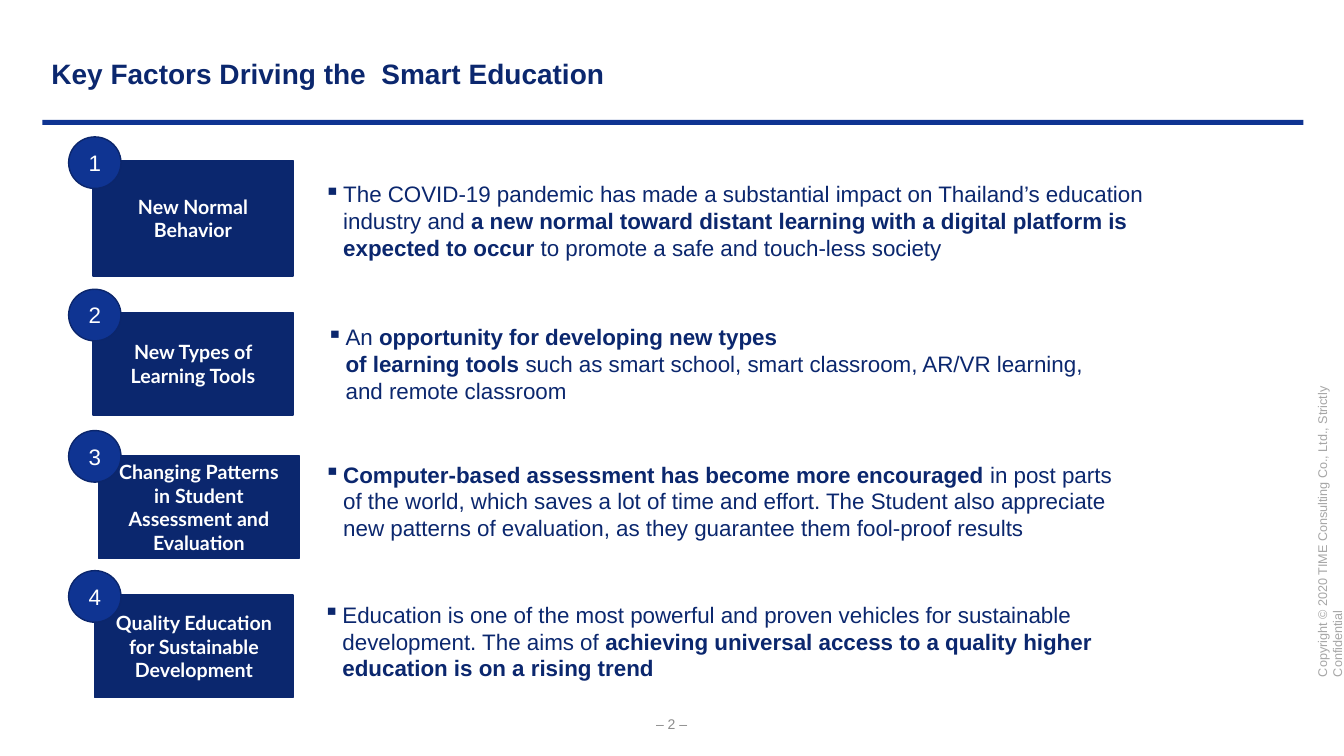
"""Build the slide on key factors driving smart education."""
import pptx
import pptx.util
import pptx.dml.color
import pptx.enum.shapes
import pptx.enum.text
from lxml import etree

Cm, Pt = pptx.util.Cm, pptx.util.Pt
RGB = pptx.dml.color.RGBColor.from_string
SHAPE = pptx.enum.shapes.MSO_SHAPE
ANCHOR = pptx.enum.text.MSO_ANCHOR
ALIGN = pptx.enum.text.PP_ALIGN
COLORS = {"navy": "0B276E", "blue": "0F3492", "edge": "0B266C", "white": "FFFFFF",
          "number": "8C8C8C", "copyright": "A6A6A6"}


def add_block(kind, box, fill, line=None):
    sp = s.shapes.add_shape(kind, *[Cm(v) for v in box])
    sp.shadow.inherit = False
    sp.fill.solid()
    sp.fill.fore_color.rgb = RGB(COLORS[fill])
    if line:
        sp.line.color.rgb = RGB(COLORS[line])
        sp.line.width = Pt(1)
    else:
        sp.line.fill.background()
    return sp


def style_text(sp, size, color, bold=None, align=ALIGN.LEFT, anchor=ANCHOR.MIDDLE, font="Arial"):
    tf = sp.text_frame
    tf.word_wrap = True
    tf.vertical_anchor = anchor
    p = tf.paragraphs[0]
    p.alignment = align
    for r in p.runs:
        r.font.size = Pt(size)
        r.font.name = font
        r.font.color.rgb = RGB(COLORS[color])
        if bold is not None:
            r.font.bold = bold


prs = pptx.Presentation()
prs.slide_width, prs.slide_height = Cm(33.87), Cm(19.05)
s = prs.slides.add_slide(prs.slide_layouts[5])

title = s.shapes.title
title.left, title.top, title.width, title.height = Cm(1.04), Cm(1.3), Cm(20.52), Cm(1.12)
title.text_frame.text = "Key Factors Driving the  Smart Education"
style_text(title, 20, "navy", bold=True, anchor=ANCHOR.TOP)

add_block(SHAPE.RECTANGLE, (1.07, 3.02, 31.78, 0.13), "blue")

number = s.shapes.add_textbox(Cm(15.67), Cm(17.98), Cm(2.51), Cm(0.53))
number.text_frame.text = "– 2 –"
style_text(number, 10, "number", align=ALIGN.CENTER)

notice = s.shapes.add_textbox(Cm(28.85), Cm(12.52), Cm(8.94), Cm(0.64))
notice.rotation = 270
notice.text_frame.text = "Copyright © 2020 TIME Consulting Co., Ltd., Strictly Confidential"
style_text(notice, 9, "copyright", anchor=ANCHOR.TOP)

# Asterisks enclose the bold parts of a description.
factors = [
    ("New Normal Behavior", (2.34, 4.04, 5.05, 2.92), (7.92, 4.42, 21.77, 2.92), 3.45, ANCHOR.TOP,
     "The COVID-19 pandemic has made a substantial impact on Thailand’s education industry and "
     "*a new normal toward distant learning with a digital platform is expected to occur *"
     "to promote a safe and touch-less society"),
    ("New Types of Learning Tools", (2.34, 7.87, 5.05, 2.59), (7.98, 7.87, 20.5, 2.59), 7.29, ANCHOR.MIDDLE,
     "An *opportunity for developing new types\nof learning tools* such as smart school, "
     "smart classroom, AR/VR learning, and remote classroom"),
    ("Changing Patterns in Student Assessment and Evaluation",
     (2.49, 11.48, 5.05, 2.59), (7.92, 11.33, 20.5, 2.59), 10.85, ANCHOR.MIDDLE,
     "*Computer-based assessment has become more encouraged *in post parts of the world, "
     "which saves a lot of time and effort. The Student also appreciate new patterns of "
     "evaluation, as they guarantee them fool-proof results"),
    ("Quality Education for Sustainable Development",
     (2.39, 14.99, 5, 2.59), (7.9, 14.86, 20.24, 2.59), 14.38, ANCHOR.MIDDLE,
     "Education is one of the most powerful and proven vehicles for sustainable development. "
     "The aims of *achieving universal access to a quality higher education is on a rising trend*"),
]

for n, (name, label_box, detail_box, circle_top, anchor, detail) in enumerate(factors, 1):
    label = add_block(SHAPE.RECTANGLE, label_box, "navy", "navy")
    label.text_frame.text = name
    style_text(label, 14, "white", bold=True, align=ALIGN.CENTER, font="Lato")

    sp = add_block(SHAPE.RECTANGLE, detail_box, "white", "white")
    p = sp.text_frame.paragraphs[0]
    pPr = p._p.get_or_add_pPr()
    pPr.set("marL", str(Cm(0.48)))
    pPr.set("indent", str(-Cm(0.48)))
    bullet = etree.SubElement(pPr, pptx.oxml.ns.qn("a:buChar"))
    bullet.set("char", "▪")
    for i, part in enumerate(detail.split("*")):
        for j, text in enumerate(part.split("\n")):
            if j:
                p.add_line_break()
            if text:
                r = p.add_run()
                r.text = text
                r.font.bold = i % 2 == 1
    style_text(sp, 16, "navy", anchor=anchor)

    circle = add_block(SHAPE.OVAL, (1.73, circle_top, 1.32, 1.3), "blue", "edge")
    circle.text_frame.text = str(n)
    style_text(circle, 16, "white", align=ALIGN.CENTER)

prs.save("out.pptx")
